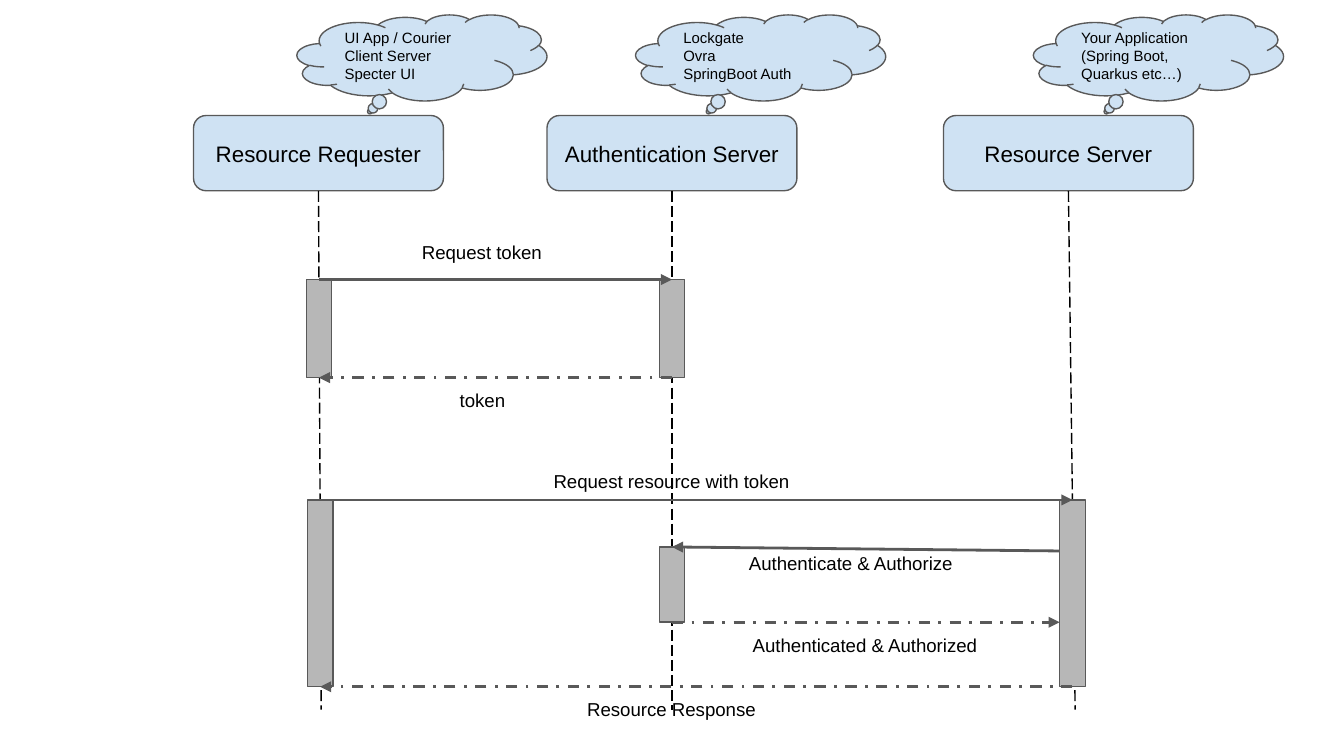
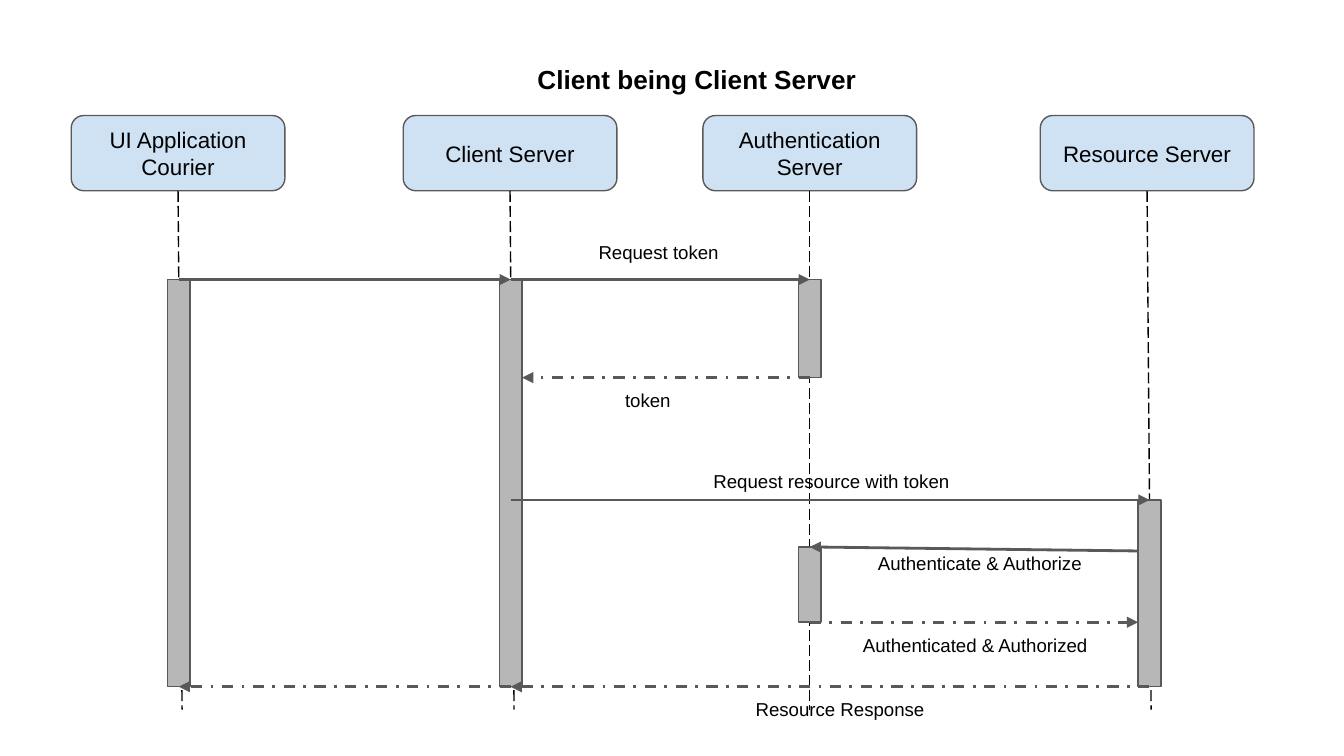
"""Build two sequence diagrams of a token-based resource request."""
from lxml.etree import SubElement
from pptx import Presentation
from pptx.dml.color import RGBColor
from pptx.enum.dml import MSO_LINE
from pptx.enum.shapes import MSO_CONNECTOR, MSO_SHAPE
from pptx.enum.text import MSO_ANCHOR, MSO_AUTO_SIZE, PP_ALIGN
from pptx.oxml.ns import qn
from pptx.util import Inches, Pt

SLIDE_W = 10
SLIDE_H = SLIDE_W * 9 / 16
BLUE, GRAY, EDGE, BLACK = "CFE2F3", "B7B7B7", "595959", "000000"
FONT = "Arial"
HEAD_TOP, HEAD_H = 0.86, 0.56
LIFE_TOP, LIFE_END = HEAD_TOP + HEAD_H, 5.28
LABEL_H = 0.37
CLOUD_W, CLOUD_H, CLOUD_TOP = 1.86, 0.64, 0.11
TOKEN, TOKEN_END, RESOURCE, CHECK, CHECK_END, END = 2.08, 2.81, 3.72, 4.07, 4.63, 5.11
LEFT_EDGE, MIDDLE, RIGHT_EDGE = -0.5, 0, 0.5

# Text, label top, start height, end height, dashed
STEPS = [
    ("Request token", 1.71, TOKEN, TOKEN, False),
    ("token", 2.81, TOKEN_END, TOKEN_END, True),
    ("Request resource with token", 3.41, RESOURCE, RESOURCE, False),
    ("Authenticate & Authorize", 4.02, 4.1, CHECK, False),
    ("Authenticated & Authorized", 4.63, CHECK_END, CHECK_END, True),
    ("Resource Response", 5.11, END, END, True),
]

DIAGRAMS = [
    {
        "title": None,
        "head_width": 1.86,
        "bar_width": 0.19,
        "actors": [
            ("Resource Requester", 1.44, 0.02),
            ("Authentication Server", 4.07, 0),
            ("Resource Server", 7.02, 0.05),
        ],
        "clouds": [
            (2.21, "UI App / Courier\nClient Server\nSpecter UI"),
            (4.73, "Lockgate\nOvra\nSpringBoot Auth"),
            (7.69, "Your Application (Spring Boot, Quarkus etc…)"),
        ],
        "bars": [(0, TOKEN, TOKEN_END), (1, TOKEN, TOKEN_END), (0, RESOURCE, END),
                 (2, RESOURCE, END), (1, CHECK, CHECK_END)],
        "messages": [
            ((0, MIDDLE), (1, MIDDLE), 3.03, 1.11),
            ((1, MIDDLE), (0, MIDDLE), 3.26, 0.66),
            ((0, MIDDLE), (2, MIDDLE), 3.99, 2.01),
            ((2, LEFT_EDGE), (1, MIDDLE), 5.46, 1.74),
            ((1, MIDDLE), (2, LEFT_EDGE), 5.46, 1.95),
            ((2, MIDDLE), (0, MIDDLE), 4.24, 1.51),
        ],
        "relays": [],
    },
    {
        "title": "Client being Client Server",
        "head_width": 1.59,
        "bar_width": 0.17,
        "actors": [
            ("UI Application\nCourier", 0.53, 0.03),
            ("Client Server", 3, 0.03),
            ("Authentication Server", 5.23, 0),
            ("Resource Server", 7.74, 0.03),
        ],
        "clouds": [],
        "bars": [(0, TOKEN, END), (1, TOKEN, END), (2, TOKEN, TOKEN_END),
                 (3, RESOURCE, END), (2, CHECK, CHECK_END)],
        "messages": [
            ((1, MIDDLE), (2, MIDDLE), 4.35, 1.1),
            ((2, MIDDLE), (1, RIGHT_EDGE), 4.54, 0.56),
            ((1, MIDDLE), (3, MIDDLE), 5.17, 2.03),
            ((3, LEFT_EDGE), (2, MIDDLE), 6.42, 1.74),
            ((2, MIDDLE), (3, LEFT_EDGE), 6.24, 2.03),
            ((3, MIDDLE), (1, MIDDLE), 5.38, 1.74),
        ],
        "relays": [(0, 1, TOKEN, False), (1, 0, END, True)],
    },
]


def color(hex_value):
    return RGBColor.from_string(hex_value)


def write(shape, text, size, align=PP_ALIGN.CENTER, bold=False, **frame_format):
    frame = shape.text_frame
    margins = {f"margin_{side}": Inches(0.1) for side in ("left", "right", "top", "bottom")}
    for key, value in {"word_wrap": True, **margins, **frame_format}.items():
        setattr(frame, key, value)
    frame.text = text
    for paragraph in frame.paragraphs:
        paragraph.alignment = align
        font = paragraph.runs[0].font
        for key, value in {"name": FONT, "size": Pt(size), "bold": bold}.items():
            setattr(font, key, value)
        font.color.rgb = color(BLACK)


def add_label(slide, text, left, top, width, height=LABEL_H, size=10, bold=False):
    box = slide.shapes.add_textbox(*map(Inches, (left, top, width, height)))
    write(box, text, size, bold=bold, auto_size=MSO_AUTO_SIZE.SHAPE_TO_FIT_TEXT)


def add_block(slide, kind, left, top, width, height, fill, adjustments=()):
    block = slide.shapes.add_shape(kind, *map(Inches, (left, top, width, height)))
    block.shadow.inherit = False
    block.fill.solid()
    block.fill.fore_color.rgb = color(fill)
    block.line.color.rgb = color(EDGE)
    block.line.width = Pt(0.75)
    for index, value in enumerate(adjustments):
        block.adjustments[index] = value
    return block


def add_line(slide, start, end, stroke, width, dash=None, arrow=False):
    line = slide.shapes.add_connector(MSO_CONNECTOR.STRAIGHT, *map(Inches, (*start, *end)))
    line.line.color.rgb = color(stroke)
    line.line.width = Pt(width)
    if dash:
        line.line.dash_style = dash
    outline = line._element.spPr.find(qn("a:ln"))
    if arrow:
        SubElement(outline, qn("a:tailEnd"), type="triangle")
    SubElement(line._element.spPr, qn("a:effectLst"))


def add_arrow(slide, start, end, dashed):
    dash = MSO_LINE.DASH_DOT if dashed else None
    add_line(slide, start, end, EDGE, 1.5, dash, arrow=True)


def draw_diagram(slide, diagram):
    actors, bars = diagram["actors"], diagram["bars"]
    head_width, bar_width = diagram["head_width"], diagram["bar_width"]

    def lifeline_x(actor, y):
        _, left, drift = actors[actor]
        return left + head_width / 2 + drift * (y - LIFE_TOP) / (LIFE_END - LIFE_TOP)

    def point(actor, y, side=MIDDLE):
        bar_top = max(top for owner, top, _ in bars if owner == actor and top <= y)
        return lifeline_x(actor, bar_top) + side * bar_width, y

    for actor, (name, left, _) in enumerate(actors):
        head = add_block(slide, MSO_SHAPE.ROUNDED_RECTANGLE, left, HEAD_TOP,
                         head_width, HEAD_H, BLUE, [0.167])
        write(head, name, 12, vertical_anchor=MSO_ANCHOR.MIDDLE)
        add_line(slide, (lifeline_x(actor, LIFE_TOP), LIFE_TOP),
                 (lifeline_x(actor, LIFE_END), LIFE_END), BLACK, 0.75, MSO_LINE.LONG_DASH)
    for actor, top, bottom in bars:
        add_block(slide, MSO_SHAPE.RECTANGLE, lifeline_x(actor, top) - bar_width / 2, top,
                  bar_width, bottom - top, GRAY)
    for step, message in zip(STEPS, diagram["messages"]):
        text, label_top, start_y, end_y, dashed = step
        (sender, sender_side), (receiver, receiver_side), left, width = message
        add_arrow(slide, point(sender, start_y, sender_side),
                  point(receiver, end_y, receiver_side), dashed)
        add_label(slide, text, left, label_top, width)
    for sender, receiver, y, dashed in diagram["relays"]:
        add_arrow(slide, point(sender, y), point(receiver, y), dashed)
    for left, examples in diagram["clouds"]:
        cloud = add_block(slide, MSO_SHAPE.CLOUD_CALLOUT, left, CLOUD_TOP,
                          CLOUD_W, CLOUD_H, BLUE, [-0.208, 0.625])
        write(cloud, examples, 8, PP_ALIGN.LEFT, vertical_anchor=MSO_ANCHOR.MIDDLE)
    if diagram["title"]:
        add_label(slide, diagram["title"], 2.39, 0.37, 5.59, 0.44, 14, bold=True)


def main():
    deck = Presentation()
    deck.slide_width, deck.slide_height = Inches(SLIDE_W), Inches(SLIDE_H)
    for diagram in DIAGRAMS:
        draw_diagram(deck.slides.add_slide(deck.slide_layouts[6]), diagram)
    deck.save("out.pptx")


if __name__ == "__main__":
    main()
